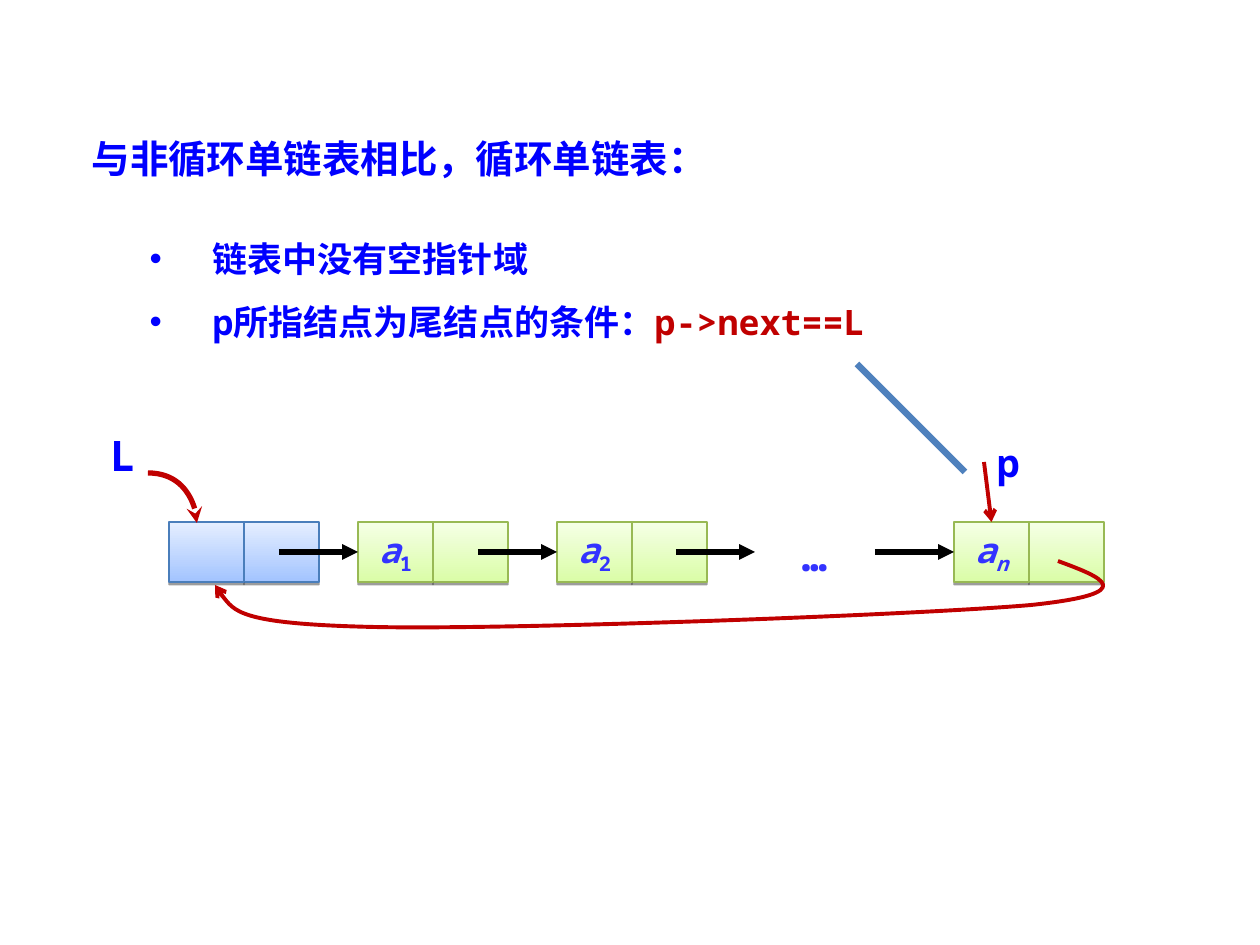
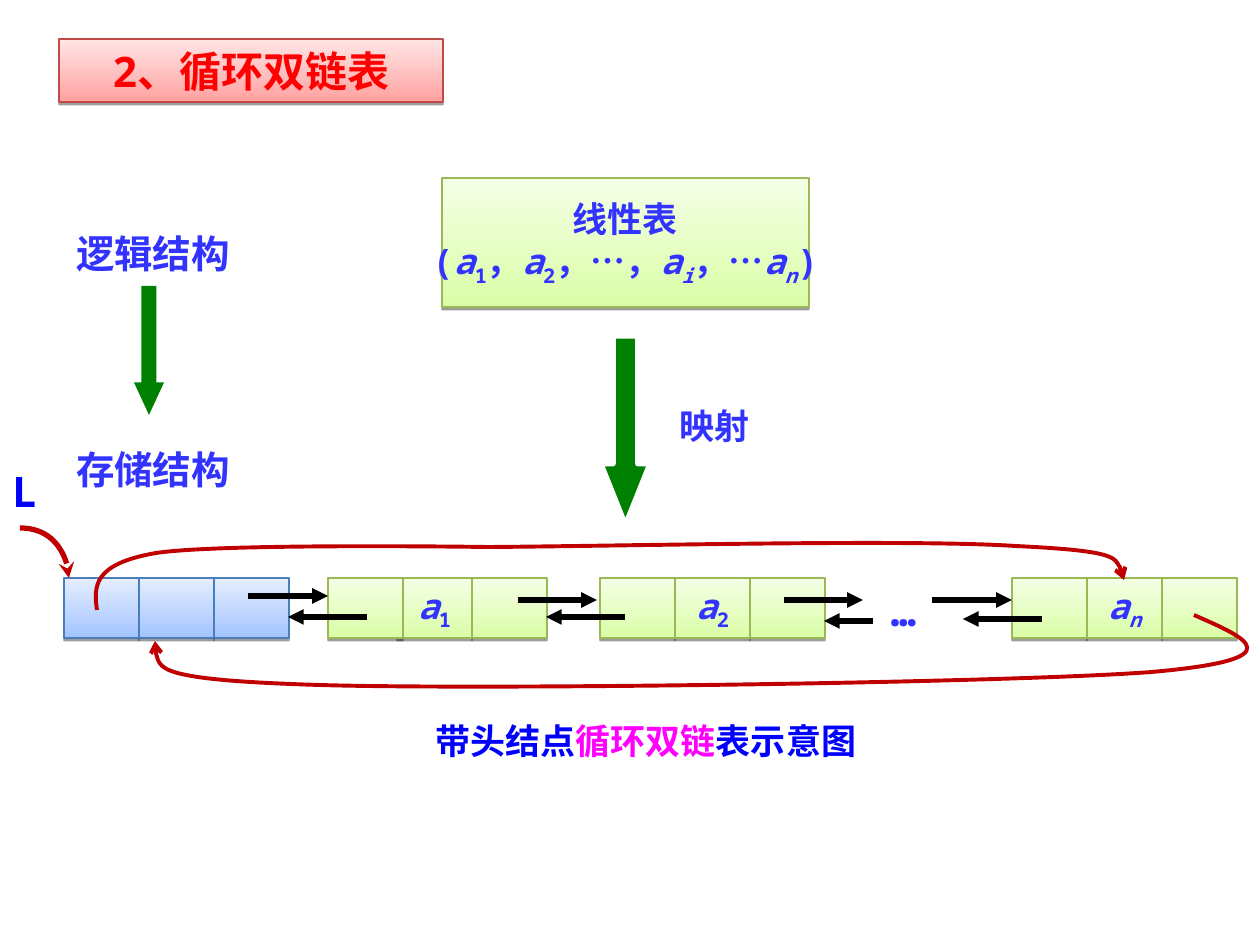
import pptx
import pptx.dml.color
import pptx.enum.shapes
import pptx.enum.text
import pptx.oxml.ns
import pptx.util
from lxml import etree

SCALE = 914400 / 126  # EMU in one px
FONT = "Noto Sans Mono"
BLUE, INDIGO, DARK_RED, BLACK = "0000FF", "3333FF", "C00000", "000000"
GREEN, MAGENTA, RED, STEEL, WHITE = "008000", "FF00FF", "FF0000", "4F81BD", "FFFFFF"
# bottom colour, top colour, outline
BLUE_CELL = ("A3C4FF", "E5EEFF", "4A7EBB")
GREEN_CELL = ("DAFDA7", "F5FFE6", "98B954")
RED_BAND = ("FFA2A1", "FFE5E5", "BE4B48")
CELL_W, CELL_H = 75, 60
LEFT, CENTER = pptx.enum.text.PP_ALIGN.LEFT, pptx.enum.text.PP_ALIGN.CENTER
RECT = pptx.enum.shapes.MSO_SHAPE.RECTANGLE
DOWN = pptx.enum.shapes.MSO_SHAPE.DOWN_ARROW

# Runs are (text, flags, colour); flags: i = italic, s = subscript.
A1 = [("a", "i"), ("1", "s")]
A2 = [("a", "i"), ("2", "s")]
AI = [("a", "i"), ("i", "is")]
AN = [("a", "i"), ("n", "is")]

SINGLE = {
    "title": [("与非循环单链表相比，循环单链表：",)],
    "bullets": [
        [("链表中没有空指针域",)],
        [("p所指结点为尾结点的条件：",), ("p->next==L", "", DARK_RED)],
    ],
    "cell_top": 522,
    # left, overlap of the first cell, colours, cell texts
    "nodes": [
        (169, 0, BLUE_CELL, [[], []]),
        (358, 0, GREEN_CELL, [A1, []]),
        (557, 0, GREEN_CELL, [A2, []]),
        (954, 0, GREEN_CELL, [AN, []]),
    ],
    "next_tips": [358, 557, 755, 954],
    # runs, box, size, colour, alignment
    "labels": [
        ([("…",)], (775, 523, 79, 63), 24, INDIGO, CENTER),
        ([("L",)], (98, 423, 59, 63), 24, BLUE, LEFT),
        ([("p",)], (984, 433, 49, 59), 22, BLUE, CENTER),
    ],
    "head_pointer": (148, 473),
    "loops": [
        [(1058, 561), (1101, 577), (1144, 593), (1031, 605), (916, 615),
         (510, 630), (374, 627), (238, 624), (227, 605), (215, 585)],
    ],
}

DOUBLE = {
    "title": [("2、循环双链表",)],
    "list_box": [[("线性表",)],
                 [("(",), *A1, ("，",), *A2, ("，…，",), *AI, ("，…",), *AN, (")",)]],
    "cell_top": 578,
    "nodes": [
        (64, 0, BLUE_CELL, [[], [], []]),
        (328, 6, GREEN_CELL, [[], A1, []]),
        (600, 0, GREEN_CELL, [[], A2, []]),
        (1012, 0, GREEN_CELL, [[], AN, []]),
    ],
    # from x, to x, y
    "links": [
        (248, 328, 596), (518, 597, 600), (784, 863, 600), (932, 1012, 600),
        (367, 288, 617), (625, 546, 617), (873, 824, 621), (1042, 963, 619),
    ],
    "labels": [
        ([("映射",)], (650, 398, 129, 55), 20, INDIGO, CENTER),
        ([("逻辑结构",)], (34, 224, 238, 59), 22, INDIGO, CENTER),
        ([("存储结构",)], (34, 440, 238, 59), 22, INDIGO, CENTER),
        ([("…",)], (864, 578, 79, 63), 24, INDIGO, CENTER),
        ([("L",)], (0, 459, 59, 63), 24, BLUE, LEFT),
        ([("带头结点",), ("循环双链", "", MAGENTA), ("表示意图",)],
         (423, 713, 483, 55), 20, BLUE, LEFT),
    ],
    "head_pointer": (20, 528),
    "loops": [
        [(1194, 615), (1246, 638), (1298, 659), (1152, 672), (1007, 683),
         (485, 690), (319, 685), (152, 680), (154, 660), (155, 641)],
        [(97, 610), (94, 587), (92, 564), (156, 553), (222, 543), (488, 547), (488, 547),
         (630, 546), (910, 539), (1016, 546), (1121, 551), (1123, 566), (1124, 580)],
    ],
}


def px(*lengths):
    return [round(length * SCALE) for length in lengths]


def rgb(value):
    return pptx.dml.color.RGBColor.from_string(value)


def add_xml(parent, tag, **attributes):
    return etree.SubElement(parent, pptx.oxml.ns.qn(tag), attributes)


def write(frame, paragraphs, size, color, align=LEFT, wrap=True):
    frame.word_wrap = wrap
    frame.auto_size = pptx.enum.text.MSO_AUTO_SIZE.NONE
    for index, runs in enumerate(paragraphs):
        para = frame.add_paragraph() if index else frame.paragraphs[0]
        para.alignment = align
        para.space_before = pptx.util.Pt(0)
        for text, *extra in runs:
            flags, run_color = (extra + ["", color][len(extra):])[:2]
            span = para.add_run()
            span.text = text
            span.font.name = FONT
            span.font.size = pptx.util.Pt(size)
            span.font.bold = True
            span.font.italic = "i" in flags
            span.font.color.rgb = rgb(run_color)
            if "s" in flags:
                span._r.get_or_add_rPr().set("baseline", "-25000")


def place(shape, box):
    shape.left, shape.top, shape.width, shape.height = px(*box)


def paint_raised(shape, colors):
    """Vertical gradient, thin outline and a short shadow straight below."""
    bottom, top, outline = colors
    shape.fill.gradient()
    shape.fill.gradient_angle = 90
    for stop, color in zip(shape.fill.gradient_stops, (bottom, top)):
        stop.color.rgb = rgb(color)
    shape.line.color.rgb = rgb(outline)
    shape.line.width = pptx.util.Pt(0.75)
    shape.shadow.inherit = False
    effects = shape._element.spPr.find(pptx.oxml.ns.qn("a:effectLst"))
    shadow = add_xml(effects, "a:outerShdw", blurRad="0", dist="20000", dir="5400000",
                     rotWithShape="0")
    add_xml(add_xml(shadow, "a:srgbClr", val=BLACK), "a:alpha", val="38000")


def add_panel(page, box, colors, paragraphs):
    panel = page.shapes.add_shape(RECT, *px(*box))
    paint_raised(panel, colors)
    panel.text_frame.vertical_anchor = pptx.enum.text.MSO_ANCHOR.MIDDLE
    if any(paragraphs):
        write(panel.text_frame, paragraphs, 20, INDIGO, CENTER, wrap=False)
    return panel


def set_stroke(shape, color, width, head=None):
    shape.line.color.rgb = rgb(color)
    shape.line.width = pptx.util.Pt(width)
    if head:
        add_xml(shape._element.spPr.find(pptx.oxml.ns.qn("a:ln")), "a:tailEnd", type=head)


def add_line(page, start, end, color=BLACK, width=3, head="triangle"):
    line = page.shapes.add_connector(pptx.enum.shapes.MSO_CONNECTOR.STRAIGHT, *px(*start, *end))
    set_stroke(line, color, width, head)
    add_xml(line._element.spPr, "a:effectLst")
    return line


def add_curve(page, points, width, head):
    """Bezier curve: a start point, then two handles and an end point per piece."""
    builder = page.shapes.build_freeform(*points[0], scale=SCALE)
    builder.add_line_segments(points[1:], close=False)
    curve = builder.convert_to_shape()
    segments = list(curve._element.iter(pptx.oxml.ns.qn("a:lnTo")))
    outline = segments[0].getparent()
    for first in range(0, len(segments), 3):
        bezier = add_xml(outline, "a:cubicBezTo")
        for segment in segments[first:first + 3]:
            bezier.append(segment[0])
            outline.remove(segment)
    curve.fill.background()
    curve.shadow.inherit = False
    set_stroke(curve, DARK_RED, width, head)


def add_down_arrow(page, box, head_ratio):
    arrow = page.shapes.add_shape(DOWN, *px(*box))
    arrow.adjustments[1] = head_ratio
    arrow.fill.solid()
    arrow.fill.fore_color.rgb = rgb(GREEN)
    arrow.line.fill.background()
    arrow.shadow.inherit = False
    return arrow


def add_title(page, runs, box, size, color, align):
    title = page.shapes.title
    place(title, box)
    title.text_frame.vertical_anchor = pptx.enum.text.MSO_ANCHOR.TOP
    write(title.text_frame, [runs], size, color, align)
    return title


def add_nodes(page, content):
    """Draw the nodes and return the first cell of each by its left edge."""
    first_cells = {}
    for left, overlap, colors, texts in content["nodes"]:
        for index in reversed(range(len(texts))):
            x = left + index * CELL_W - (overlap if index else 0)
            box = (x, content["cell_top"], CELL_W, CELL_H)
            first_cells[left] = add_panel(page, box, colors, [texts[index]])
    return first_cells


def add_labels_and_curves(page, content):
    for runs, box, size, color, align in content["labels"]:
        label = page.shapes.add_textbox(*px(*box))
        write(label.text_frame, [runs], size, color, align)
    x, y = content["head_pointer"]
    add_curve(page, [(x, y), (x + 26, y), (x + 49, y + 23), (x + 49, y + 50)], 3, "stealth")
    for points in content["loops"]:
        add_curve(page, points, 2.25, "arrow")


def build_single(deck):
    page = deck.slides.add_slide(deck.slide_layouts[1])
    add_title(page, SINGLE["title"], (79, 129, 837, 59), 22, BLUE, LEFT)
    body = page.placeholders[1]
    place(body, (137, 210, 876, 139))
    write(body.text_frame, SINGLE["bullets"], 20, BLUE)
    for para in body.text_frame.paragraphs:
        para.line_spacing = 1.5
        indent = para._p.get_or_add_pPr()
        indent.set("marL", "457200")
        indent.set("indent", "-457200")

    first_cells = add_nodes(page, SINGLE)
    middle = SINGLE["cell_top"] + CELL_H // 2
    for tip in SINGLE["next_tips"]:
        link = add_line(page, (tip - 79, middle), (tip, middle))
        if tip in first_cells:
            link.end_connect(first_cells[tip], 1)
    add_labels_and_curves(page, SINGLE)
    tail_pointer = add_line(page, (984, 462), (991, 522), DARK_RED, 2.25, "arrow")
    tail_pointer.end_connect(first_cells[954], 0)
    add_line(page, (857, 364), (965, 472), STEEL, 3.75, None)


def build_double(deck):
    page = deck.slides.add_slide(deck.slide_layouts[5])
    title = add_title(page, DOUBLE["title"], (59, 39, 384, 63), 24, RED, CENTER)
    paint_raised(title, RED_BAND)
    add_panel(page, (442, 178, 367, 129), GREEN_CELL, DOUBLE["list_box"])
    mapping = add_down_arrow(page, (601, 336, 49, 189), 1.25)
    set_stroke(mapping, WHITE, 3)
    add_down_arrow(page, (134, 286, 30, 129), 1.08)
    add_nodes(page, DOUBLE)
    for start, end, y in DOUBLE["links"]:
        add_line(page, (start, y), (end, y))
    add_labels_and_curves(page, DOUBLE)


def main():
    deck = pptx.Presentation()
    deck.slide_width, deck.slide_height = px(1260, 945)
    build_single(deck)
    build_double(deck)
    deck.save("out.pptx")


if __name__ == "__main__":
    main()
